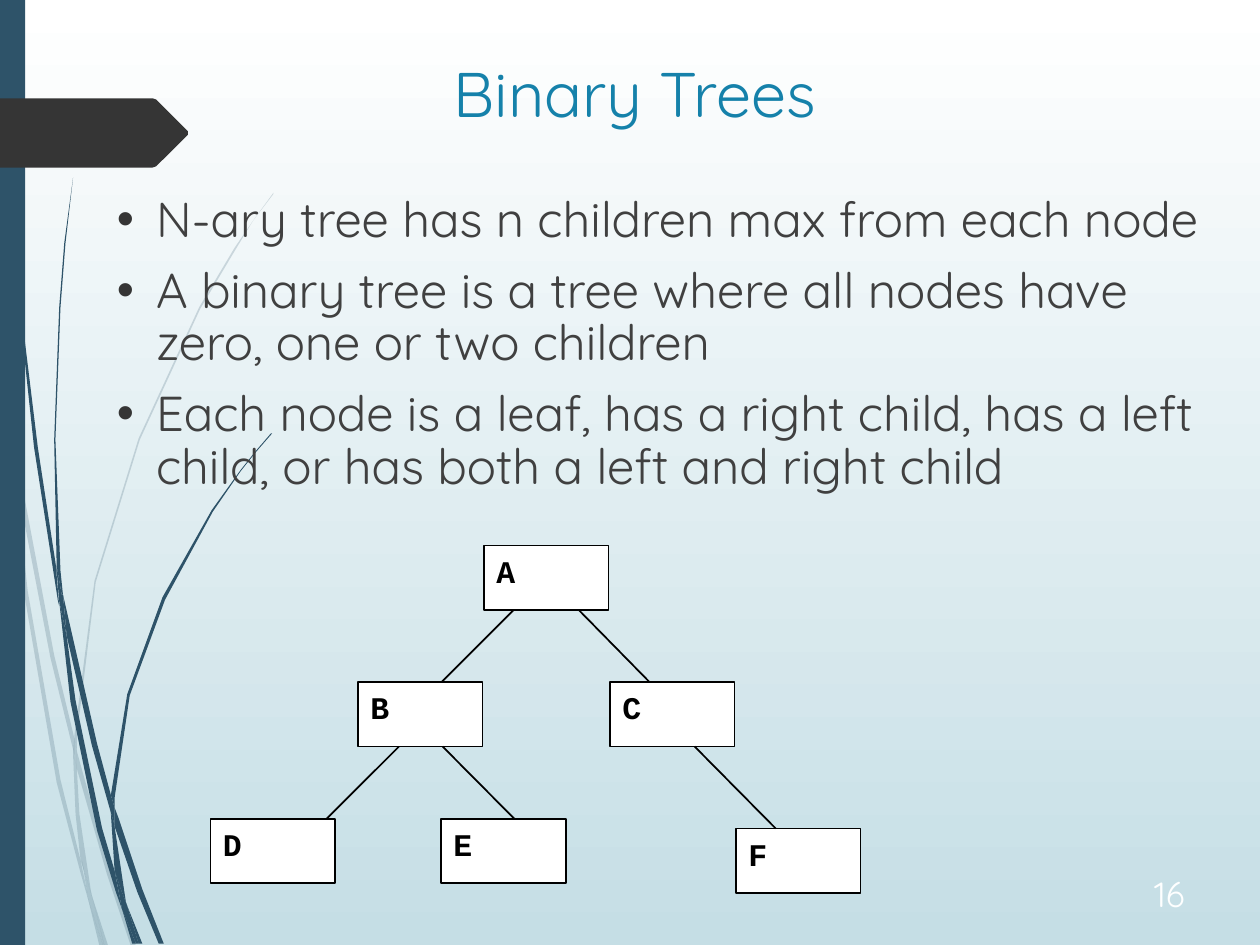
from dataclasses import dataclass
from typing import Any

from lxml.etree import SubElement
from pptx import Presentation
from pptx.dml.color import RGBColor
from pptx.enum.shapes import MSO_CONNECTOR, MSO_SHAPE
from pptx.enum.text import MSO_ANCHOR, MSO_AUTO_SIZE, PP_ALIGN
from pptx.oxml.ns import qn
from pptx.util import Inches, Pt


@dataclass(frozen=True)
class Theme:
    accent: str = "2E5369"
    marker: str = "353535"
    title: str = "1581AA"
    body: str = "404040"
    number: str = "FEFFFF"
    white: str = "FFFFFF"
    black: str = "000000"
    background_end: str = "C5DEE5"
    text_font: str = "Quicksand"
    node_font: str = "Courier New"
    title_size: int = 36
    body_size: int = 28
    number_size: int = 20
    node_size: int = 18
    line_width: int = 1
    pale_opacity: int = 20


@dataclass(frozen=True)
class Node:
    column: float
    row: float


@dataclass(frozen=True)
class Edge:
    parent: str
    child: str
    parent_share: float
    child_share: float


THEME = Theme()
SLIDE_WIDTH, SLIDE_HEIGHT = 10, 7.5
TREE_LEFT, TREE_TOP = 2.84, 4.33
COLUMN_STEP, ROW_STEP = 1, 1.085
NODE_WIDTH, NODE_HEIGHT = 0.99, 0.51
HUNDREDTH = Inches(0.01)

NODES = {
    "A": Node(1, 0),
    "B": Node(0, 1),
    "C": Node(2, 1),
    "D": Node(-1.17, 2),
    "E": Node(0.66, 2),
    "F": Node(3, 2.07),
}
EDGES = [
    Edge("A", "B", 0.24, 0.67),
    Edge("A", "C", 0.76, 0.32),
    Edge("B", "D", 0.33, 0.93),
    Edge("B", "E", 0.68, 0.59),
    Edge("C", "F", 0.68, 0.32),
]
BULLETS = [
    "N-ary tree has n children max from each node",
    "A binary tree is a tree where all nodes have zero, one or two children",
    "Each node is a leaf, has a right child, has a left child, or has both a left and right child",
]
PALE_BLADES = [
    [(8, 350), (6, 322), (0, 282), (0, 299), (7, 344)],
    [(40, 522), (59, 599), (59, 586), (43, 520), (10, 345), (12, 376)],
    [(64, 607), (61, 596), (61, 610), (85, 694), (104, 751), (108, 751), (88, 692)],
    [(83, 751), (86, 751), (73, 711)],
    [(64, 683), (48, 619), (22, 469), (12, 376), (8, 350), (19, 470), (45, 621),
     (64, 693), (70, 714), (69, 707)],
    [(58, 599), (60, 646), (64, 683), (67, 692), (73, 711), (72, 706), (63, 646),
     (61, 610), (61, 608)],
    [(61, 584), (76, 462), (111, 349), (159, 245), (187, 198), (201, 175), (217, 154),
     (217, 153), (201, 175), (186, 197), (158, 244), (110, 348), (75, 461), (59, 584),
     (59, 586), (61, 596)],
    [(70, 714), (79, 751), (82, 751)],
    [(61, 608), (61, 610), (61, 596), (59, 586), (58, 599)],
    [(67, 692), (65, 683), (69, 707), (70, 714), (82, 751), (83, 751), (73, 711)],
]
DARK_BLADES = [
    [(5, 110), (14, 233), (27, 355), (46, 477), (47, 481), (45, 457), (45, 453),
     (30, 355), (15, 232), (6, 109), (4, 48), (3, 0), (2, 0), (3, 48)],
    [(73, 592), (88, 645), (88, 633), (88, 631), (77, 590), (50, 472), (53, 505)],
    [(94, 649), (91, 641), (91, 656), (109, 708), (126, 749), (130, 749), (113, 706)],
    [(91, 691), (81, 657), (60, 556), (53, 505), (47, 477), (56, 557), (77, 659),
     (92, 708), (97, 722), (96, 717)],
    [(50, 472), (48, 453), (44, 349), (48, 244), (52, 193), (58, 141), (51, 193),
     (47, 244), (43, 349), (45, 449), (49, 472)],
    [(110, 749), (113, 749), (101, 719)],
    [(47, 477), (53, 505), (50, 472), (49, 472), (45, 449), (45, 453)],
    [(91, 633), (103, 552), (131, 476), (169, 406), (191, 374), (203, 359), (216, 344),
     (215, 344), (203, 358), (191, 373), (168, 405), (129, 474), (101, 551), (88, 631),
     (91, 641)],
    [(97, 722), (105, 749), (108, 749)],
    [(88, 645), (91, 691), (96, 706), (101, 719), (100, 716), (91, 656), (90, 651)],
    [(88, 645), (90, 651), (91, 656), (91, 641), (88, 631), (88, 633)],
    [(96, 706), (91, 691), (96, 717), (97, 722), (108, 749), (110, 749), (101, 719)],
]
MARKER = [(149, 107), (124, 132), (121, 133), (0, 133), (0, 78), (121, 78), (124, 79),
          (149, 104)]


def color(value: str) -> RGBColor:
    return RGBColor.from_string(value)


def set_all(target: Any, formats: dict[str, Any]) -> None:
    for name, value in formats.items():
        setattr(target, name, value)


def write(paragraph: Any, text: str, font: str, size: int, fill: str, bold: bool = False) -> None:
    run = paragraph.add_run()
    run.text = text
    set_all(run.font, {"name": font, "size": Pt(size), "bold": bold})
    run.font.color.rgb = color(fill)


def set_indent(paragraph: Any, margin: float, indent: float) -> Any:
    properties = paragraph._p.get_or_add_pPr()
    properties.set("marL", str(Inches(margin)))
    properties.set("indent", str(Inches(indent)))
    return properties


def paint(shape: Any, fill: str, opacity: int = 100) -> None:
    shape.shadow.inherit = False
    shape.fill.solid()
    shape.fill.fore_color.rgb = color(fill)
    shape.line.fill.background()
    if opacity < 100:
        value = shape._element.spPr.find(qn("a:solidFill"))[0]
        SubElement(value, qn("a:alpha")).set("val", str(opacity * 1000))


def draw_outline(shapes: Any, points: list[tuple[int, int]], fill: str, opacity: int = 100) -> None:
    builder = shapes.build_freeform(*points[0], scale=HUNDREDTH)
    builder.add_line_segments(points[1:], close=True)
    paint(builder.convert_to_shape(), fill, opacity)


def draw_backdrop(slide: Any) -> None:
    background = slide.background.fill
    background.gradient()
    background.gradient_angle = 270
    for stop, value in zip(background.gradient_stops, (THEME.white, THEME.background_end)):
        stop.color.rgb = color(value)
    for blades, opacity in ((PALE_BLADES, THEME.pale_opacity), (DARK_BLADES, 100)):
        group = slide.shapes.add_group_shape()
        for points in blades:
            draw_outline(group.shapes, points, THEME.accent, opacity)
    band = slide.shapes.add_shape(
        MSO_SHAPE.RECTANGLE, 0, 0, Inches(SLIDE_WIDTH * 0.02), Inches(SLIDE_HEIGHT))
    paint(band, THEME.accent)
    draw_outline(slide.shapes, MARKER, THEME.marker)


def draw_title(slide: Any) -> None:
    title = slide.shapes.title
    set_all(title, {"left": Inches(0.83), "top": Inches(0.38),
                    "width": Inches(8.42), "height": Inches(1.46)})
    set_all(title.text_frame, {"vertical_anchor": MSO_ANCHOR.TOP, "auto_size": MSO_AUTO_SIZE.NONE})
    paragraph = title.text_frame.paragraphs[0]
    paragraph.alignment = PP_ALIGN.CENTER
    write(paragraph, "Binary Trees", THEME.text_font, THEME.title_size, THEME.title)


def draw_bullets(slide: Any) -> None:
    box = slide.shapes.add_textbox(Inches(0.33), Inches(1.5), Inches(9.42), Inches(2.25))
    frame = box.text_frame
    frame.word_wrap = True
    for index, text in enumerate(BULLETS):
        paragraph = frame.add_paragraph() if index else frame.paragraphs[0]
        set_all(paragraph, {"line_spacing": 0.9, "space_before": Pt(10)})
        properties = set_indent(paragraph, 0.81, -0.31)
        bullet_color = SubElement(properties, qn("a:buClr"))
        SubElement(bullet_color, qn("a:srgbClr")).set("val", THEME.marker)
        SubElement(properties, qn("a:buFont")).set("typeface", "Arial")
        SubElement(properties, qn("a:buChar")).set("char", "•")
        write(paragraph, text, THEME.text_font, THEME.body_size, THEME.body)


def draw_number(slide: Any) -> None:
    box = slide.shapes.add_textbox(Inches(7.17), Inches(6.83), Inches(2.33), Inches(0.52))
    set_all(box.text_frame, {"word_wrap": True, "vertical_anchor": MSO_ANCHOR.MIDDLE})
    paragraph = box.text_frame.paragraphs[0]
    paragraph.alignment = PP_ALIGN.RIGHT
    write(paragraph, "16", THEME.text_font, THEME.number_size, THEME.number)


def node_corner(node: Node) -> tuple[float, float]:
    return TREE_LEFT + node.column * COLUMN_STEP, TREE_TOP + node.row * ROW_STEP


def draw_line_format(shape: Any) -> None:
    shape.line.color.rgb = color(THEME.black)
    shape.line.width = Pt(THEME.line_width)


def draw_node(shapes: Any, label: str, node: Node) -> None:
    left, top = node_corner(node)
    shape = shapes.add_shape(MSO_SHAPE.RECTANGLE, Inches(left), Inches(top),
                             Inches(NODE_WIDTH), Inches(NODE_HEIGHT))
    paint(shape, THEME.white)
    draw_line_format(shape)
    shape.text_frame.vertical_anchor = MSO_ANCHOR.TOP
    paragraph = shape.text_frame.paragraphs[0]
    paragraph.alignment = PP_ALIGN.LEFT
    set_indent(paragraph, 0.38, -0.38)
    write(paragraph, label, THEME.node_font, THEME.node_size, THEME.black, bold=True)


def draw_edge(shapes: Any, edge: Edge) -> None:
    parent_left, parent_top = node_corner(NODES[edge.parent])
    child_left, child_top = node_corner(NODES[edge.child])
    connector = shapes.add_connector(
        MSO_CONNECTOR.STRAIGHT,
        Inches(parent_left + edge.parent_share * NODE_WIDTH), Inches(parent_top + NODE_HEIGHT),
        Inches(child_left + edge.child_share * NODE_WIDTH), Inches(child_top))
    draw_line_format(connector)
    SubElement(connector._element.spPr, qn("a:effectLst"))


def main() -> None:
    presentation = Presentation()
    set_all(presentation, {"slide_width": Inches(SLIDE_WIDTH), "slide_height": Inches(SLIDE_HEIGHT)})
    slide = presentation.slides.add_slide(presentation.slide_layouts[5])
    for draw in (draw_backdrop, draw_title, draw_bullets, draw_number):
        draw(slide)
    tree = slide.shapes.add_group_shape()
    for label, node in NODES.items():
        draw_node(tree.shapes, label, node)
    for edge in EDGES:
        draw_edge(tree.shapes, edge)
    presentation.save("out.pptx")


if __name__ == "__main__":
    main()
